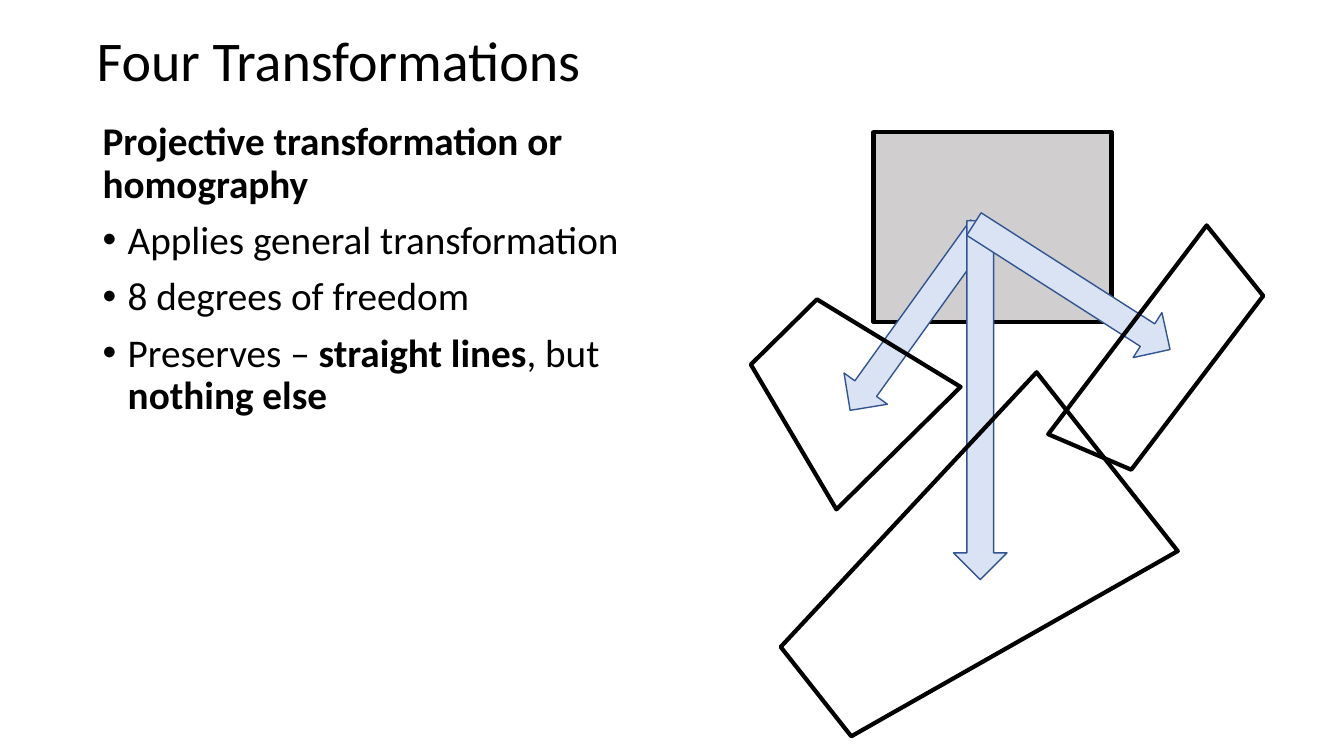
from lxml import etree
from pptx import Presentation
from pptx.dml.color import RGBColor
from pptx.enum.shapes import MSO_SHAPE
from pptx.enum.text import MSO_ANCHOR
from pptx.oxml.ns import qn
from pptx.util import Pt

RECTANGLE = MSO_SHAPE.RECTANGLE
ARROW = MSO_SHAPE.DOWN_ARROW
TRAPEZOID = MSO_SHAPE.TRAPEZOID
TOP, MIDDLE = MSO_ANCHOR.TOP, MSO_ANCHOR.MIDDLE

SQUARE_STYLE = {"fill": "D0CECE", "line": "000000", "weight": 3}
ARROW_STYLE = {"fill": "DAE3F3", "line": "325491", "weight": 1}
OUTLINE_STYLE = {"fill": None, "line": "000000", "weight": 3}

TITLE = [(False, [("Four Transformations", False)])]
BODY = [
    (False, [("Projective transformation or homography", True)]),
    (True, [("Applies general transformation", False)]),
    (True, [("8 degrees of freedom", False)]),
    (True, [("Preserves – ", False), ("straight lines", True),
            (", but ", False), ("nothing else", True)]),
]

ARROWS = [
    ((635, 147.6, 38.2, 160.6), 35.7),
    ((681.1, 157.7, 38.2, 256.3), 0),
    ((746.6, 121.7, 38.2, 166.3), 302.6),
]
TRAPEZOIDS = [
    ((538.6, 220.3, 124.6, 116.6), 315.4),
    ((605.5, 279.4, 162.7, 265), 231.7),
    ((736.6, 223.2, 187.2, 62.6), 127.2),
]


def color(hex_string):
    """Return the colour for a hex string."""
    return RGBColor.from_string(hex_string)


def set_values(target, values):
    """Set each named attribute of the target."""
    for name, value in values.items():
        setattr(target, name, value)


def add_bullet(paragraph):
    """Give the paragraph a hanging round bullet."""
    properties = paragraph._p.get_or_add_pPr()
    properties.set("marL", str(Pt(18)))
    properties.set("indent", str(Pt(-18)))
    etree.SubElement(properties, qn("a:buFont")).set("typeface", "Arial")
    etree.SubElement(properties, qn("a:buChar")).set("char", "•")


def add_text(slide, box, paragraphs, size, anchor, space_before):
    """Add a text box with plain and bulleted paragraphs."""
    frame = slide.shapes.add_textbox(*map(Pt, box)).text_frame
    set_values(frame, {"word_wrap": True, "vertical_anchor": anchor})
    for index, (bulleted, runs) in enumerate(paragraphs):
        paragraph = frame.add_paragraph() if index else frame.paragraphs[0]
        set_values(paragraph, {"line_spacing": 0.9,
                               "space_before": Pt(space_before)})
        if bulleted:
            add_bullet(paragraph)
        for text, bold in runs:
            run = paragraph.add_run()
            run.text = text
            set_values(run.font, {"name": "Calibri", "size": Pt(size), "bold": bold})
            run.font.color.rgb = color("000000")


def add_figure(slide, kind, box, style, rotation=0):
    """Add a rotated preset shape in the given style."""
    shape = slide.shapes.add_shape(kind, *map(Pt, box))
    shape.rotation = rotation
    shape.shadow.inherit = False
    if style["fill"]:
        shape.fill.solid()
        shape.fill.fore_color.rgb = color(style["fill"])
    else:
        shape.fill.background()
    shape.line.color.rgb = color(style["line"])
    shape.line.width = Pt(style["weight"])


def main():
    """Build the slide and save it."""
    presentation = Presentation()
    set_values(presentation, {"slide_width": Pt(960), "slide_height": Pt(540)})
    slide = presentation.slides.add_slide(presentation.slide_layouts[6])
    add_figure(slide, RECTANGLE, (624, 94.5, 170, 135.5), SQUARE_STYLE)
    add_text(slide, (62, 10.8, 828, 68.4), TITLE, 40, MIDDLE, 0)
    add_text(slide, (66.2, 83.5, 407.5, 424.8), BODY, 28, TOP, 10)
    for box, rotation in ARROWS:
        add_figure(slide, ARROW, box, ARROW_STYLE, rotation)
    for box, rotation in TRAPEZOIDS:
        add_figure(slide, TRAPEZOID, box, OUTLINE_STYLE, rotation)
    presentation.save("out.pptx")


if __name__ == "__main__":
    main()
